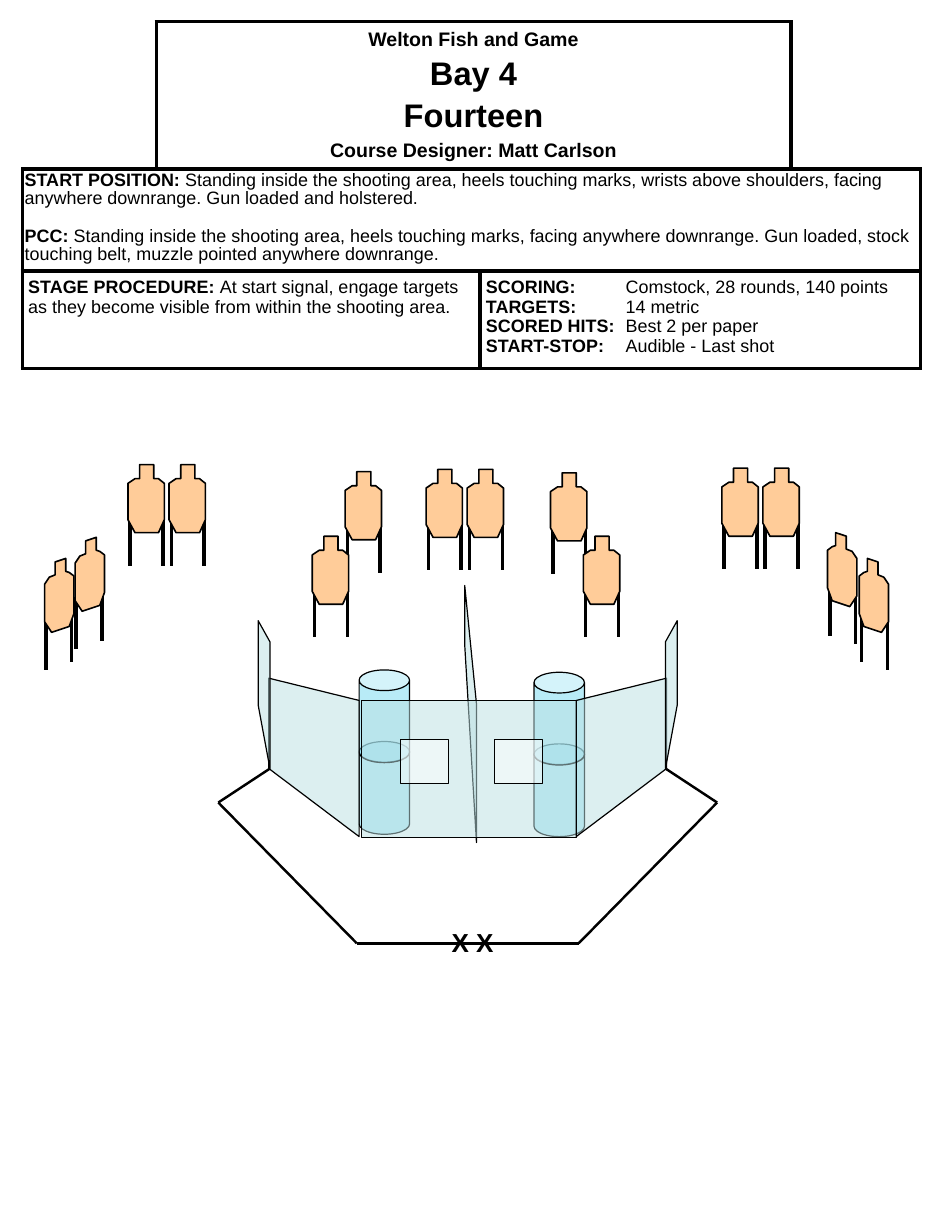
from dataclasses import dataclass
from itertools import pairwise

from lxml.etree import SubElement
from pptx import Presentation
from pptx.dml.color import RGBColor
from pptx.enum.shapes import MSO_CONNECTOR, MSO_SHAPE
from pptx.enum.text import MSO_ANCHOR, PP_ALIGN
from pptx.oxml import parse_xml
from pptx.oxml.ns import nsdecls, qn
from pptx.util import Pt

SCALE = 9144


@dataclass(frozen=True)
class Theme:
    font: str = "Arial"
    ink: str = "000000"
    paper: str = "FFFFFF"
    cardboard: str = "FFCC99"
    wall: str = "BBE0E3"
    barrel: str = "73D9F1"
    title: int = 20
    heading: int = 12
    body: int = 11
    mark: int = 16
    thin: float = 0.75
    outline: float = 1
    boundary: float = 1.5
    heavy: float = 2.25


THEME = Theme()

FRONT_OUTLINE = [(10, 0), (22, 0), (22, 12), (26, 12), (31, 16), (31, 47),
                 (26, 58), (6, 58), (0, 47), (0, 16), (6, 12), (10, 12)]
FRONT_LEGS = [(2, 42), (30, 42)]
SIDE_OUTLINE = [(9, 3), (18, 0), (18, 11), (21, 12), (25, 15), (25, 47),
                (21, 58), (6, 63), (0, 54), (0, 22), (4, 16), (9, 14)]
SIDE_LEGS = [(1, 51), (23, 44)]
LEG_LENGTH = 44

FRONT_TARGETS = [(469, 403), (294, 402), (363, 400), (109, 396), (144, 396),
                 (398, 400), (615, 399), (650, 399), (266, 457), (497, 457)]
LEFT_TARGETS = [(38, 476), (64, 458)]
RIGHT_TARGETS = [(732, 476), (705, 454)]


def px(value):
    return round(value * SCALE)


def mirror(points, width):
    return [(width - x, y) for x, y in points]


def style_shape(shape, color, line_width, alpha=None):
    shape.shadow.inherit = False
    shape.fill.solid()
    shape.fill.fore_color.rgb = RGBColor.from_string(color)
    if alpha:
        color_element = shape.fill._xPr.find(qn("a:solidFill"))[0]
        SubElement(color_element, qn("a:alpha")).set("val", str(alpha * 1000))
    shape.line.color.rgb = RGBColor.from_string(THEME.ink)
    shape.line.width = Pt(line_width)


def add_outline(shapes, left, top, points, color, line_width, alpha=None):
    placed = [(left + x, top + y) for x, y in points]
    builder = shapes.build_freeform(*placed[0], scale=SCALE)
    builder.add_line_segments(placed[1:], close=True)
    style_shape(builder.convert_to_shape(), color, line_width, alpha)


def add_line(shapes, start, end, line_width):
    connector = shapes.add_connector(
        MSO_CONNECTOR.STRAIGHT, *map(px, start), *map(px, end))
    connector.line.color.rgb = RGBColor.from_string(THEME.ink)
    connector.line.width = Pt(line_width)
    SubElement(connector._element.spPr, qn("a:effectLst"))


def add_preset(shapes, preset, box, color):
    shape = shapes.add_shape(preset, *map(px, box))
    style_shape(shape, color, THEME.thin, 50)
    return shape


def format_run(run, size, bold):
    run.font.name = THEME.font
    run.font.size = Pt(size)
    run.font.bold = bold
    run.font.color.rgb = RGBColor.from_string(THEME.ink)


def fill_paragraphs(text_frame, lines, space_before=0, line_spacing=None,
                    alignment=None, tab=None):
    for index, (size, label, body) in enumerate(lines):
        paragraph = text_frame.paragraphs[0] if index == 0 else text_frame.add_paragraph()
        if tab:
            tabs = SubElement(paragraph._p.get_or_add_pPr(), qn("a:tabLst"))
            SubElement(tabs, qn("a:tab"), pos=str(px(tab)), algn="l")
        paragraph.alignment = alignment
        paragraph.line_spacing = line_spacing
        paragraph.space_before = Pt(space_before if index else 0)
        for text, bold in ((label, True), (body, False)):
            if text:
                run = paragraph.add_run()
                run.text = text
                format_run(run, size, bold)


def set_cell(cell, sides, margin_x=5, margin_y=5):
    cell.margin_left = cell.margin_right = px(margin_x)
    cell.margin_top = cell.margin_bottom = px(margin_y)
    cell.fill.solid()
    cell.fill.fore_color.rgb = RGBColor.from_string(THEME.paper)
    properties = cell._tc.get_or_add_tcPr()
    for index, side in enumerate(sides):
        properties.insert(index, parse_xml(
            f'<a:ln{side} {nsdecls("a")} w="{Pt(THEME.heavy)}"><a:solidFill>'
            f'<a:srgbClr val="{THEME.ink}"/></a:solidFill></a:ln{side}>'))


def add_briefing(slide, left, top):
    columns, rows = [114, 276, 265, 110], [126, 87, 83]
    table = slide.shapes.add_table(
        len(rows), len(columns), px(left), px(top), px(sum(columns)), px(sum(rows))).table
    table.first_row = table.horz_banding = False
    for column, width in zip(table.columns, columns):
        column.width = px(width)
    for row, height in zip(table.rows, rows):
        row.height = px(height)
    for row in range(len(rows)):
        for column in range(len(columns)):
            sides = {(0, 0): "RB", (0, 3): "LB"}.get((row, column), "LRTB")
            set_cell(table.cell(row, column), sides, *((2, 3) if row == 1 else (5, 5)))
    for row, first, last in ((0, 1, 2), (1, 0, 3), (2, 0, 1), (2, 2, 3)):
        table.cell(row, first).merge(table.cell(row, last))

    heading = table.cell(0, 1)
    heading.vertical_anchor = MSO_ANCHOR.MIDDLE
    fill_paragraphs(heading.text_frame, [
        (THEME.heading, "Welton Fish and Game", ""),
        (THEME.title, "Bay 4", ""),
        (THEME.title, "Fourteen", ""),
        (THEME.heading, "Course Designer: Matt Carlson", ""),
    ], space_before=3.4, alignment=PP_ALIGN.CENTER)
    fill_paragraphs(table.cell(1, 0).text_frame, [
        (THEME.body, "START POSITION:",
         " Standing inside the shooting area, heels touching marks, wrists above "
         "shoulders, facing anywhere downrange. Gun loaded and holstered."),
        (THEME.body, "PCC: ",
         "Standing inside the shooting area, heels touching marks, facing anywhere "
         "downrange. Gun loaded, stock touching belt, muzzle pointed anywhere downrange."),
    ], space_before=12, line_spacing=0.9)
    fill_paragraphs(table.cell(2, 0).text_frame, [
        (THEME.body, "STAGE PROCEDURE: ",
         "At start signal, engage targets as they become visible from within "
         "the shooting area."),
    ])
    fill_paragraphs(table.cell(2, 2).text_frame, [
        (THEME.body, "SCORING:", "\tComstock, 28 rounds, 140 points"),
        (THEME.body, "TARGETS:", "\t14 metric"),
        (THEME.body, "SCORED HITS:", "\tBest 2 per paper"),
        (THEME.body, "START-STOP:", "\tAudible - Last shot"),
    ], tab=119)


def add_target(slide, left, top, outline, legs):
    shapes = slide.shapes.add_group_shape().shapes
    for x, y in legs:
        add_line(shapes, (left + x, top + y), (left + x, top + y + LEG_LENGTH), THEME.heavy)
    add_outline(shapes, left, top, outline, THEME.cardboard, THEME.outline)


def add_barrels(slide, left, top):
    shapes = slide.shapes.add_group_shape().shapes
    for y in (top + 61, top):
        barrel = add_preset(shapes, MSO_SHAPE.CAN, (left, y, 43, 79), THEME.barrel)
        barrel.adjustments[0] = 0.41


def add_shooting_area(slide, left, top, width):
    shapes = slide.shapes
    divider = [(210, 51), (220, 219), (220, 101), (210, 0)]
    wall = [(43, 156), (120, 214), (120, 98), (43, 79)]
    wing = [(34, 102), (44, 156), (44, 48), (34, 30)]
    left_edge = [(44, 156), (0, 185), (118, 305)]

    add_barrels(slide, left + 269, top + 74)
    add_outline(shapes, left, top, divider, THEME.wall, THEME.thin, 50)
    add_barrels(slide, left + 120, top + 72)
    add_preset(shapes, MSO_SHAPE.RECTANGLE, (left + 122, top + 98, 183, 117), THEME.wall)
    for x in (155, 235):
        add_preset(shapes, MSO_SHAPE.RECTANGLE, (left + x, top + 131, 41, 38), THEME.paper)
    for panel in (wall, wing):
        for points in (panel, mirror(panel, width)):
            add_outline(shapes, left, top, points, THEME.wall, THEME.thin, 50)
    boundary = left_edge + mirror(left_edge, width)[::-1]
    for start, end in pairwise((left + x, top + y) for x, y in boundary):
        add_line(shapes, start, end, THEME.boundary)

    marks = shapes.add_textbox(px(left + 189), px(top + 286), px(58), px(37))
    marks.text_frame.text = "X X"
    format_run(marks.text_frame.paragraphs[0].runs[0], THEME.mark, True)


def main():
    presentation = Presentation()
    presentation.slide_width, presentation.slide_height = px(800), px(1050)
    slide = presentation.slides.add_slide(presentation.slide_layouts[6])
    add_briefing(slide, 19, 18)
    for left, top in FRONT_TARGETS:
        add_target(slide, left, top, FRONT_OUTLINE, FRONT_LEGS)
    for left, top in LEFT_TARGETS:
        add_target(slide, left, top, SIDE_OUTLINE, SIDE_LEGS)
    for left, top in RIGHT_TARGETS:
        add_target(slide, left, top, mirror(SIDE_OUTLINE, 25), mirror(SIDE_LEGS, 25))
    add_shooting_area(slide, 186, 499, 425)
    presentation.save("out.pptx")


if __name__ == "__main__":
    main()
